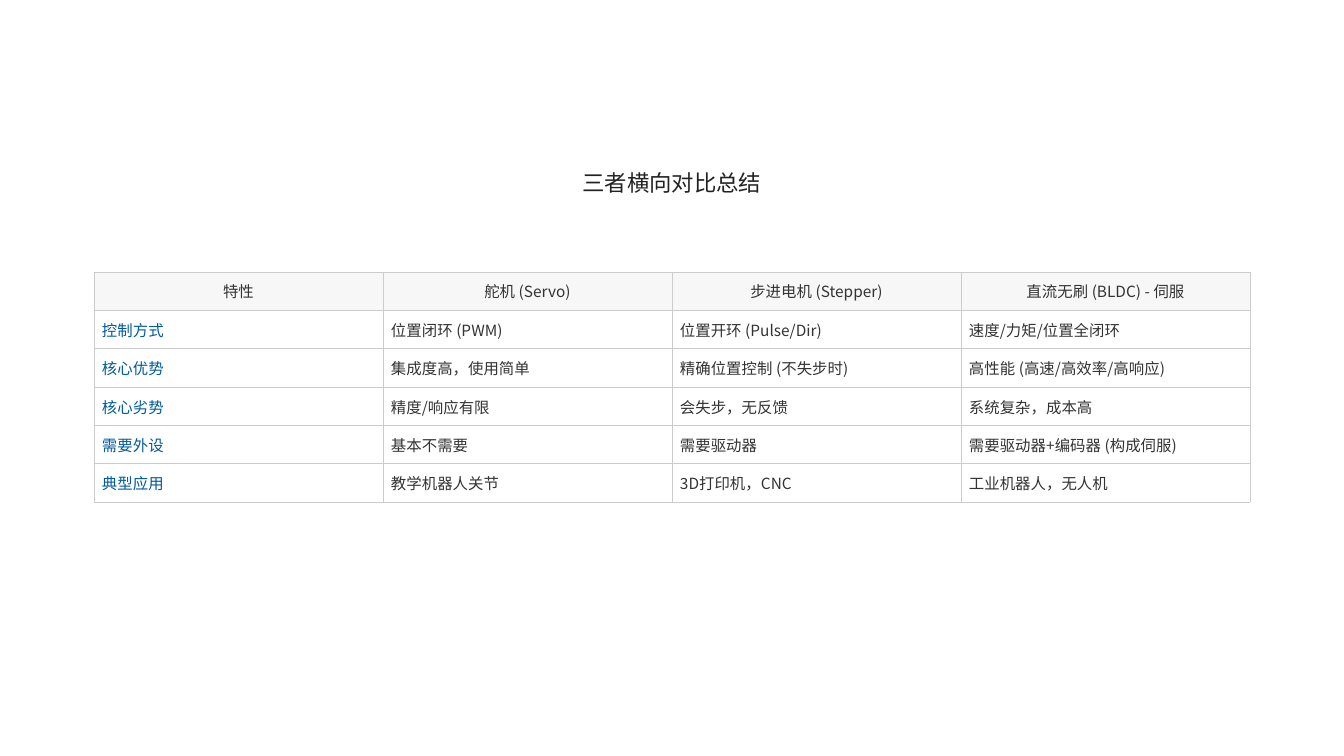
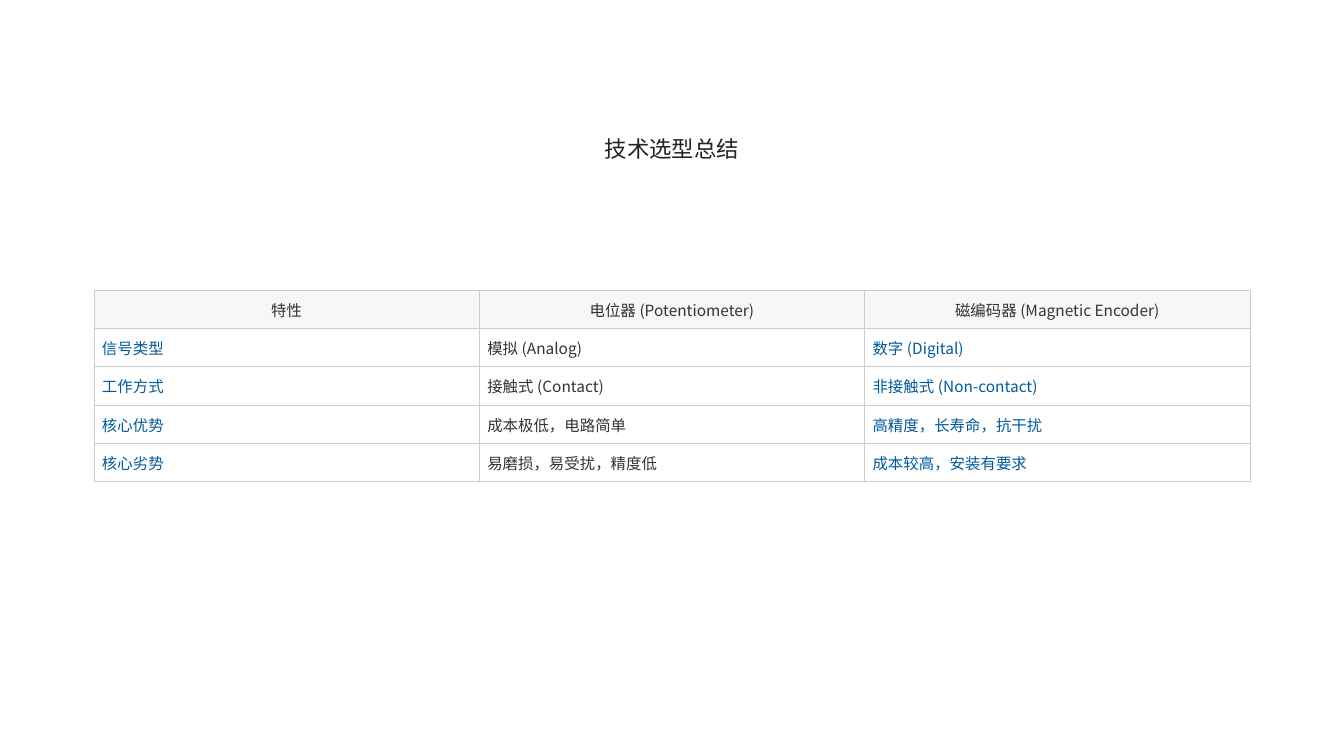
from dataclasses import dataclass

from lxml import etree
from pptx import Presentation
from pptx.dml.color import RGBColor
from pptx.enum.text import MSO_ANCHOR, MSO_AUTO_SIZE, PP_ALIGN
from pptx.oxml.ns import qn
from pptx.util import Emu, Pt


@dataclass(frozen=True)
class Theme:
    font: str = "Noto Sans CJK SC"
    title_color: str = "222222"
    text_color: str = "333333"
    accent_color: str = "005A9C"
    header_fill: str = "F7F7F7"
    border_color: str = "CCCCCC"
    title_size: float = 16
    text_size: float = 11
    border_width: float = 0.6


# Layout in px
SCALE = 12700 * 72 / 100.8
PAGE_WIDTH, PAGE_HEIGHT = 1344, 756
TITLE_WIDTH, TITLE_HEIGHT = 560, 37
TABLE_WIDTH, ROW_HEIGHT, CELL_INSET = 1156, 35, 8
SIDES = ("left", "right", "top", "bottom")


def px(length):
    return Emu(round(length * SCALE))


def set_values(target, values):
    for name, value in values.items():
        setattr(target, name, value)


class DeckBuilder:
    def __init__(self, theme):
        self.theme = theme
        self.deck = Presentation()
        set_values(self.deck, {"slide_width": px(PAGE_WIDTH), "slide_height": px(PAGE_HEIGHT)})
        self.page = None

    def add_page(self):
        title_only = self.deck.slide_layouts[5]
        self.page = self.deck.slides.add_slide(title_only)

    def add_text(self, frame, text, size, color, align):
        para = frame.paragraphs[0]
        para.alignment = align
        span = para.add_run()
        span.text = text
        span.font.color.rgb = RGBColor.from_string(color)
        set_values(span.font, {"size": Pt(size), "name": self.theme.font, "bold": False})
        # East Asian characters need their own typeface element
        east_asian = etree.SubElement(span.font._element, qn("a:ea"))
        east_asian.set("typeface", self.theme.font)

    def add_title(self, text, top):
        box = self.page.shapes.title
        set_values(box, {
            "left": px((PAGE_WIDTH - TITLE_WIDTH) / 2), "top": px(top),
            "width": px(TITLE_WIDTH), "height": px(TITLE_HEIGHT),
        })
        frame = box.text_frame
        set_values(frame, {f"margin_{side}": 0 for side in SIDES})
        set_values(frame, {
            "word_wrap": True, "auto_size": MSO_AUTO_SIZE.NONE,
            "vertical_anchor": MSO_ANCHOR.MIDDLE,
        })
        self.add_text(frame, text, self.theme.title_size, self.theme.title_color, PP_ALIGN.CENTER)

    def add_borders(self, cell):
        properties = cell._tc.get_or_add_tcPr()
        for side in "LRTB":
            line = etree.SubElement(properties, qn(f"a:ln{side}"))
            line.set("w", str(Pt(self.theme.border_width)))
            fill = etree.SubElement(line, qn("a:solidFill"))
            etree.SubElement(fill, qn("a:srgbClr")).set("val", self.theme.border_color)

    def fill_cell(self, cell, text, is_header, is_accent):
        theme = self.theme
        set_values(cell, {f"margin_{side}": px(CELL_INSET) for side in SIDES})
        cell.vertical_anchor = MSO_ANCHOR.MIDDLE
        self.add_borders(cell)
        if is_header:
            cell.fill.solid()
            cell.fill.fore_color.rgb = RGBColor.from_string(theme.header_fill)
        else:
            cell.fill.background()
        color = theme.accent_color if is_accent and not is_header else theme.text_color
        align = PP_ALIGN.CENTER if is_header else PP_ALIGN.LEFT
        self.add_text(cell.text_frame, text, theme.text_size, color, align)

    def add_table(self, rows, top, accent_columns):
        column_count = len(rows[0])
        table = self.page.shapes.add_table(
            len(rows), column_count, px((PAGE_WIDTH - TABLE_WIDTH) / 2), px(top),
            px(TABLE_WIDTH), px(ROW_HEIGHT * len(rows)),
        ).table
        set_values(table, {"first_row": False, "horz_banding": False})
        for column in table.columns:
            column.width = px(TABLE_WIDTH / column_count)
        for row_index, row in enumerate(rows):
            for column_index, text in enumerate(row):
                self.fill_cell(table.cell(row_index, column_index), text,
                               row_index == 0, column_index in accent_columns)


MOTOR_ROWS = [
    ("特性", "舵机 (Servo)", "步进电机 (Stepper)", "直流无刷 (BLDC) - 伺服"),
    ("控制方式", "位置闭环 (PWM)", "位置开环 (Pulse/Dir)", "速度/力矩/位置全闭环"),
    ("核心优势", "集成度高，使用简单", "精确位置控制 (不失步时)", "高性能 (高速/高效率/高响应)"),
    ("核心劣势", "精度/响应有限", "会失步，无反馈", "系统复杂，成本高"),
    ("需要外设", "基本不需要", "需要驱动器", "需要驱动器+编码器 (构成伺服)"),
    ("典型应用", "教学机器人关节", "3D打印机，CNC", "工业机器人，无人机"),
]
SENSOR_ROWS = [
    ("特性", "电位器 (Potentiometer)", "磁编码器 (Magnetic Encoder)"),
    ("信号类型", "模拟 (Analog)", "数字 (Digital)"),
    ("工作方式", "接触式 (Contact)", "非接触式 (Non-contact)"),
    ("核心优势", "成本极低，电路简单", "高精度，长寿命，抗干扰"),
    ("核心劣势", "易磨损，易受扰，精度低", "成本较高，安装有要求"),
]


def main():
    builder = DeckBuilder(Theme())

    # Motor comparison
    builder.add_page()
    builder.add_title("三者横向对比总结", top=164)
    builder.add_table(MOTOR_ROWS, top=272, accent_columns={0})

    # Sensor selection
    builder.add_page()
    builder.add_title("技术选型总结", top=130)
    builder.add_table(SENSOR_ROWS, top=290, accent_columns={0, 2})

    builder.deck.save("out.pptx")


if __name__ == "__main__":
    main()
